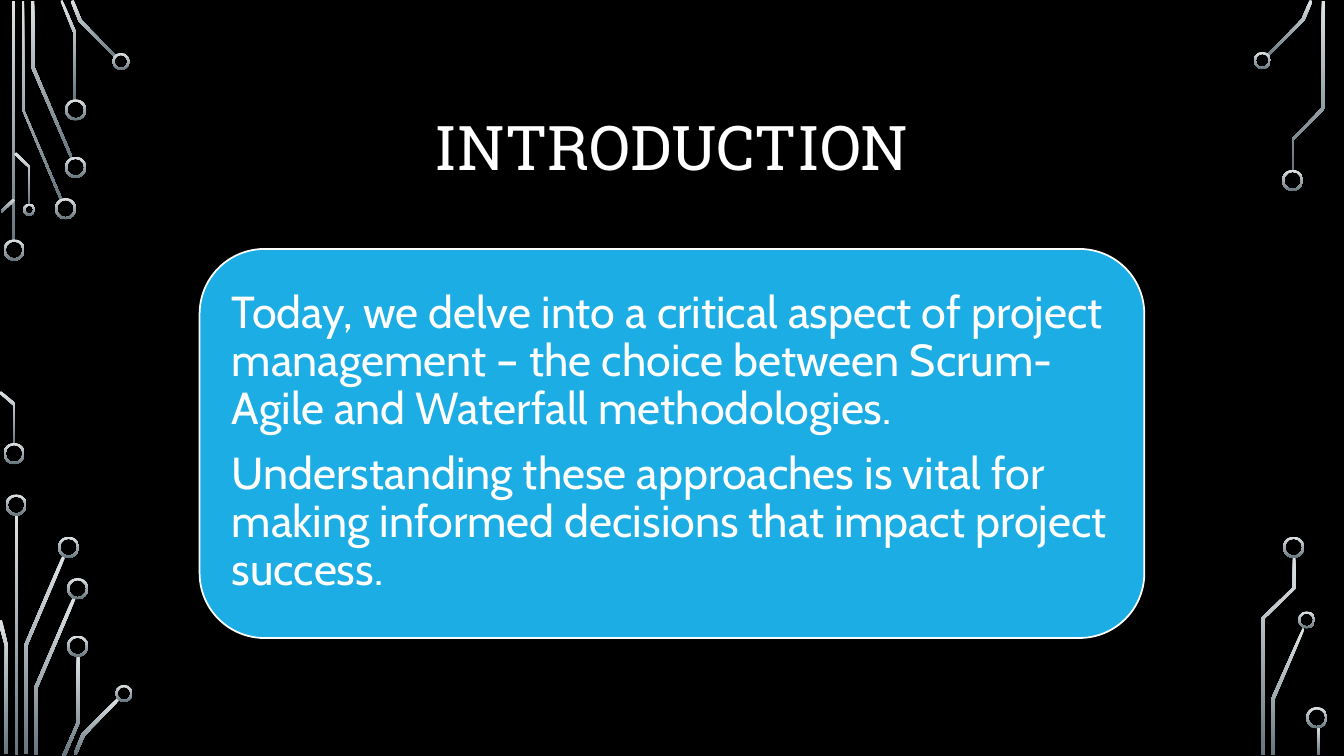
from typing import NamedTuple

from pptx import Presentation
from pptx.dml.color import RGBColor
from pptx.enum.shapes import MSO_SHAPE
from pptx.enum.text import MSO_ANCHOR, PP_ALIGN
from pptx.util import Inches, Pt

BAR, RING, CARD = MSO_SHAPE.RECTANGLE, MSO_SHAPE.DONUT, MSO_SHAPE.ROUNDED_RECTANGLE
MIDDLE = MSO_ANCHOR.MIDDLE
CENTER, LEFT = PP_ALIGN.CENTER, PP_ALIGN.LEFT

COLORS = {
    "background": "000000",
    "trace_top": "DFE3E5",
    "trace_bottom": "65757D",
    "card": "1CADE4",
    "text": "FFFFFF",
}
RING_THICKNESS = 0.02
LARGE, MEDIUM, SMALL = 0.21, 0.17, 0.12


class Box(NamedTuple):
    left: float
    top: float
    width: float
    height: float


class Ring(NamedTuple):
    center_x: float
    center_y: float
    diameter: float = LARGE


class TextBlock(NamedTuple):
    box: Box
    paragraphs: list[str]
    font: dict
    paragraph: dict


BARS = [
    Box(0.12, 0.01, 0.03, 2.39),
    Box(0.15, 5.1, 0.03, 2.39),
    Box(13.06, 7.21, 0.03, 0.28),
]

RINGS = [
    # Top left
    Ring(0.14, 2.48), Ring(0.65, 2.07), Ring(0.75, 1.66), Ring(0.75, 1.09),
    Ring(1.2, 0.61, MEDIUM), Ring(0.29, 2.08, SMALL),
    # Bottom left
    Ring(0.14, 4.5), Ring(0.16, 5.01), Ring(0.68, 5.43), Ring(0.77, 5.84),
    Ring(0.77, 6.41), Ring(1.23, 6.88, MEDIUM),
    # Top right
    Ring(12.52, 0.6, MEDIUM), Ring(12.82, 1.79),
    # Bottom right
    Ring(12.96, 6.15, MEDIUM), Ring(12.83, 5.43), Ring(13.06, 7.12),
]

TRACES = [
    # Top left
    [(0.6, 1.99), (0.22, 1.09), (0.22, 0.01), (0.24, 0.01), (0.24, 1.09), (0.62, 1.98)],
    [(0.7, 1.57), (0.31, 0.67), (0.31, 0.01), (0.34, 0.01), (0.34, 0.66), (0.72, 1.56)],
    [(0.76, 1), (0.73, 1), (0.73, 0.33), (0.6, 0.01), (0.62, 0), (0.76, 0.33)],
    [(1.15, 0.58), (0.78, 0.21), (0.7, 0.01), (0.73, 0), (0.81, 0.2), (1.16, 0.56)],
    [(0.02, 2.11), (0.01, 2.09), (0.13, 1.97), (0.15, 1.99)],
    [(0.3, 2.03), (0.28, 2.03), (0.28, 1.66), (0.14, 1.53), (0.16, 1.51), (0.3, 1.65)],
    # Bottom left
    [(0.15, 4.41), (0.13, 4.41), (0.13, 4.02), (-0.01, 3.9), (0.01, 3.88), (0.15, 4)],
    [(0.27, 7.48), (0.24, 7.48), (0.24, 6.4), (0.62, 5.51), (0.65, 5.52), (0.27, 6.41)],
    [(0.08, 7.48), (0.05, 7.48), (0.05, 6.41), (-0.02, 6.16), (0.02, 6.15), (0.08, 6.41)],
    [(0.37, 7.49), (0.34, 7.49), (0.34, 6.82), (0.72, 5.93), (0.75, 5.94), (0.37, 6.83)],
    [(0.65, 7.5), (0.62, 7.49), (0.76, 7.17), (0.76, 6.5), (0.79, 6.5), (0.79, 7.17)],
    [(0.76, 7.49), (0.73, 7.48), (0.81, 7.28), (1.17, 6.92), (1.19, 6.94), (0.84, 7.3)],
    # Top right
    [(12.58, 0.56), (12.56, 0.55), (12.91, 0.19), (12.99, 0), (13.02, 0.01), (12.94, 0.2)],
    [(12.83, 1.69), (12.81, 1.69), (12.81, 1.38), (13.11, 1.07), (13.11, 0.01),
     (13.14, 0.01), (13.14, 1.08), (12.83, 1.39)],
    # Bottom right
    [(12.64, 7.49), (12.61, 7.49), (12.61, 6.93), (12.92, 6.23), (12.94, 6.24), (12.64, 6.94)],
    [(12.54, 7.49), (12.51, 7.49), (12.51, 6.13), (12.82, 5.83), (12.82, 5.52),
     (12.85, 5.52), (12.85, 5.84), (12.54, 6.14)],
]

CARD_BOX = Box(1.98, 2.47, 9.37, 3.86)
TITLE = TextBlock(
    Box(1.25, 0.68, 10.83, 1.62),
    ["INTRODUCTION"],
    {"name": "Roboto Slab", "size": Pt(44)},
    {"alignment": CENTER, "line_spacing": 0.9},
)
MESSAGE = TextBlock(
    Box(2.17, 2.65, 8.99, 3.48),
    [
        "Today, we delve into a critical aspect of project management – "
        "the choice between Scrum-Agile and Waterfall methodologies.",
        "Understanding these approaches is vital for making informed "
        "decisions that impact project success.",
    ],
    {"name": "Cabin", "size": Pt(32)},
    {"alignment": LEFT, "line_spacing": 0.9, "space_after": Pt(11.2)},
)
FRAME_FORMAT = {
    "word_wrap": True,
    "vertical_anchor": MIDDLE,
    "margin_left": Inches(0.13),
    "margin_right": Inches(0.13),
    "margin_top": Inches(0.07),
    "margin_bottom": Inches(0.07),
}


def color(name: str) -> RGBColor:
    return RGBColor.from_string(COLORS[name])


def set_attributes(target, values: dict) -> None:
    for name, value in values.items():
        setattr(target, name, value)


def style_circuit(shape) -> None:
    """Give a circuit part its vertical gradient, without line or shadow."""
    shape.shadow.inherit = False
    shape.line.fill.background()
    shape.fill.gradient()
    shape.fill.gradient_angle = 270
    for stop, name in zip(shape.fill.gradient_stops, ("trace_top", "trace_bottom")):
        stop.color.rgb = color(name)


def add_preset(slide, kind, box: Box):
    return slide.shapes.add_shape(kind, *map(Inches, box))


def add_ring(slide, ring: Ring) -> None:
    radius = ring.diameter / 2
    box = Box(ring.center_x - radius, ring.center_y - radius, ring.diameter, ring.diameter)
    shape = add_preset(slide, RING, box)
    shape.adjustments[0] = RING_THICKNESS / ring.diameter
    style_circuit(shape)


def add_trace(slide, outline: list[tuple[float, float]]) -> None:
    points = [(Inches(x), Inches(y)) for x, y in outline]
    builder = slide.shapes.build_freeform(*points[0])
    builder.add_line_segments(points[1:], close=True)
    style_circuit(builder.convert_to_shape())


def add_card(slide) -> None:
    card = add_preset(slide, CARD, CARD_BOX)
    card.shadow.inherit = False
    card.fill.solid()
    card.fill.fore_color.rgb = color("card")
    card.line.color.rgb = color("text")
    card.line.width = Pt(1.25)


def add_text(slide, block: TextBlock) -> None:
    frame = slide.shapes.add_textbox(*map(Inches, block.box)).text_frame
    set_attributes(frame, FRAME_FORMAT)
    for index, text in enumerate(block.paragraphs):
        paragraph = frame.add_paragraph() if index else frame.paragraphs[0]
        set_attributes(paragraph, block.paragraph)
        run = paragraph.add_run()
        run.text = text
        set_attributes(run.font, block.font)
        run.font.color.rgb = color("text")


def main() -> None:
    presentation = Presentation()
    presentation.slide_width = Inches(13.33)
    presentation.slide_height = Inches(7.5)
    slide = presentation.slides.add_slide(presentation.slide_layouts[6])
    slide.background.fill.solid()
    slide.background.fill.fore_color.rgb = color("background")

    for bar in BARS:
        style_circuit(add_preset(slide, BAR, bar))
    for trace in TRACES:
        add_trace(slide, trace)
    for ring in RINGS:
        add_ring(slide, ring)
    add_text(slide, TITLE)
    add_card(slide)
    add_text(slide, MESSAGE)
    presentation.save("out.pptx")


if __name__ == "__main__":
    main()
